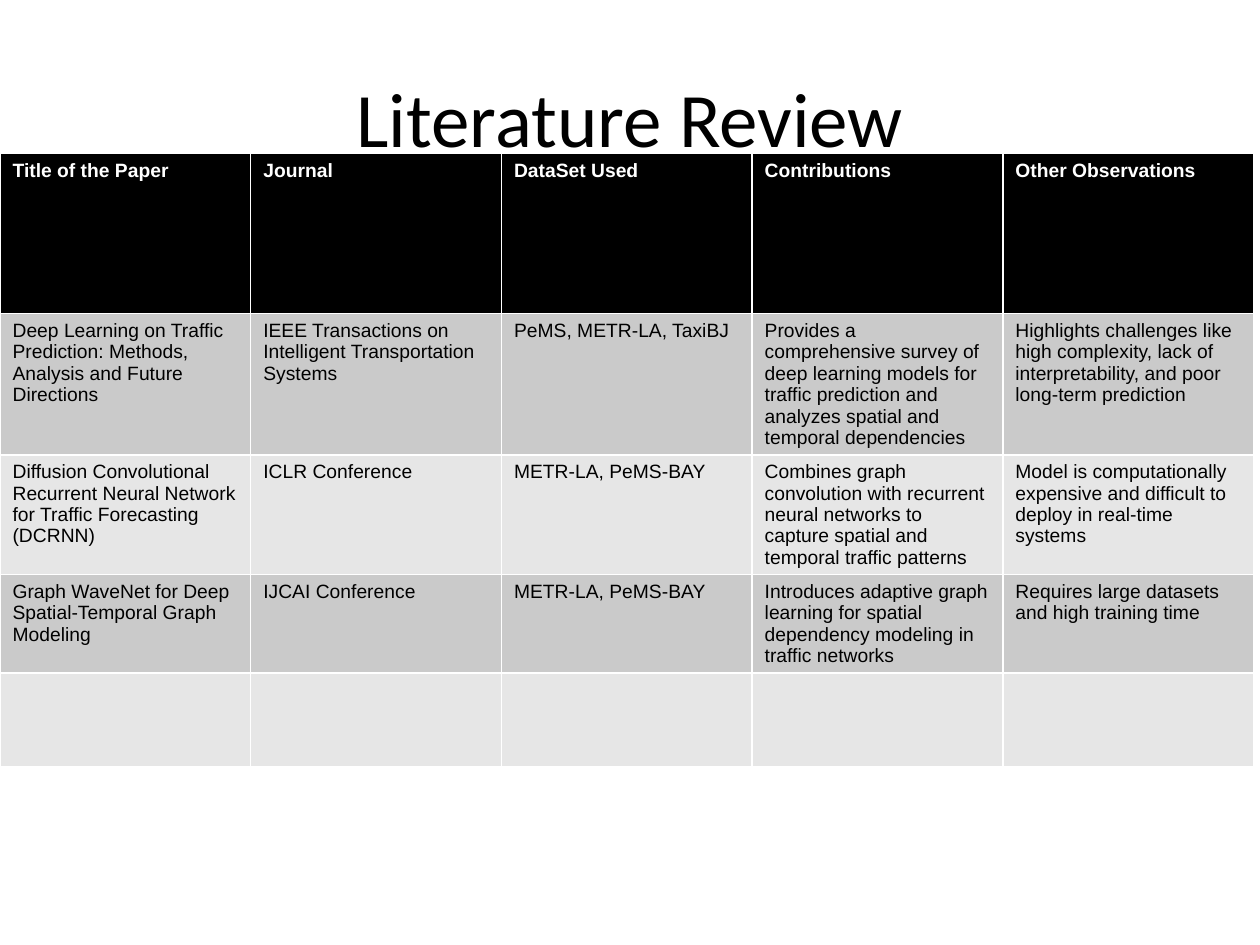
import pptx
import pptx.util
import pptx.dml.color
import pptx.enum.text
from pptx.util import Inches

# Content
HEADING = "Literature Review"
COLUMNS = ["Title of the Paper", "Journal", "DataSet Used", "Contributions", "Other Observations"]
PAPERS = [
    ("Deep Learning on Traffic Prediction: Methods, Analysis and Future Directions",
     "IEEE Transactions on Intelligent Transportation Systems",
     "PeMS, METR-LA, TaxiBJ",
     "Provides a comprehensive survey of deep learning models for traffic prediction "
     "and analyzes spatial and temporal dependencies",
     "Highlights challenges like high complexity, lack of interpretability, "
     "and poor long-term prediction"),
    ("Diffusion Convolutional Recurrent Neural Network for Traffic Forecasting (DCRNN)",
     "ICLR Conference",
     "METR-LA, PeMS-BAY",
     "Combines graph convolution with recurrent neural networks to capture spatial "
     "and temporal traffic patterns",
     "Model is computationally expensive and difficult to deploy in real-time systems"),
    ("Graph WaveNet for Deep Spatial-Temporal Graph Modeling",
     "IJCAI Conference",
     "METR-LA, PeMS-BAY",
     "Introduces adaptive graph learning for spatial dependency modeling in traffic networks",
     "Requires large datasets and high training time"),
    ("",) * len(COLUMNS),
]

BLACK, WHITE = "000000", "FFFFFF"
BANDS = ["CACACA", "E6E6E6"]
COLUMN_WIDTH, HEADER_HEIGHT, PAPER_HEIGHT = 1.99, 1.27, 0.74


def color(hex_code):
    return pptx.dml.color.RGBColor.from_string(hex_code)


def write(frame, text, *, size, font, fill=BLACK, bold=False, align=None):
    paragraph = frame.paragraphs[0]
    paragraph.alignment = align
    run = paragraph.add_run()
    run.text = text
    run.font.size = pptx.util.Pt(size)
    run.font.name = font
    run.font.bold = bold
    run.font.color.rgb = color(fill)


def main():
    deck = pptx.Presentation()
    deck.slide_width, deck.slide_height = Inches(10), Inches(7.5)
    slide = deck.slides.add_slide(deck.slide_layouts[5])

    # Heading
    heading = slide.shapes.title
    heading.left, heading.top = Inches(0.5), Inches(0.3)
    heading.width, heading.height = Inches(9), Inches(1.25)
    heading.text_frame.vertical_anchor = pptx.enum.text.MSO_ANCHOR.MIDDLE
    write(heading.text_frame, HEADING, size=44, font="Calibri",
          align=pptx.enum.text.PP_ALIGN.CENTER)

    # Review table: the default style draws the white cell borders
    rows = [COLUMNS] + PAPERS
    review = slide.shapes.add_table(
        len(rows), len(COLUMNS), Inches(0), Inches(1.22),
        Inches(COLUMN_WIDTH * len(COLUMNS)),
        Inches(HEADER_HEIGHT + PAPER_HEIGHT * len(PAPERS))).table
    for column in review.columns:
        column.width = Inches(COLUMN_WIDTH)

    for r, entries in enumerate(rows):
        is_header = r == 0
        review.rows[r].height = Inches(HEADER_HEIGHT if is_header else PAPER_HEIGHT)
        for c, entry in enumerate(entries):
            cell = review.cell(r, c)
            cell.fill.solid()
            cell.fill.fore_color.rgb = color(BLACK if is_header else BANDS[(r - 1) % 2])
            if entry:
                write(cell.text_frame, entry, size=11, font="Arial",
                      fill=WHITE if is_header else BLACK, bold=is_header)

    deck.save("out.pptx")


if __name__ == "__main__":
    main()
